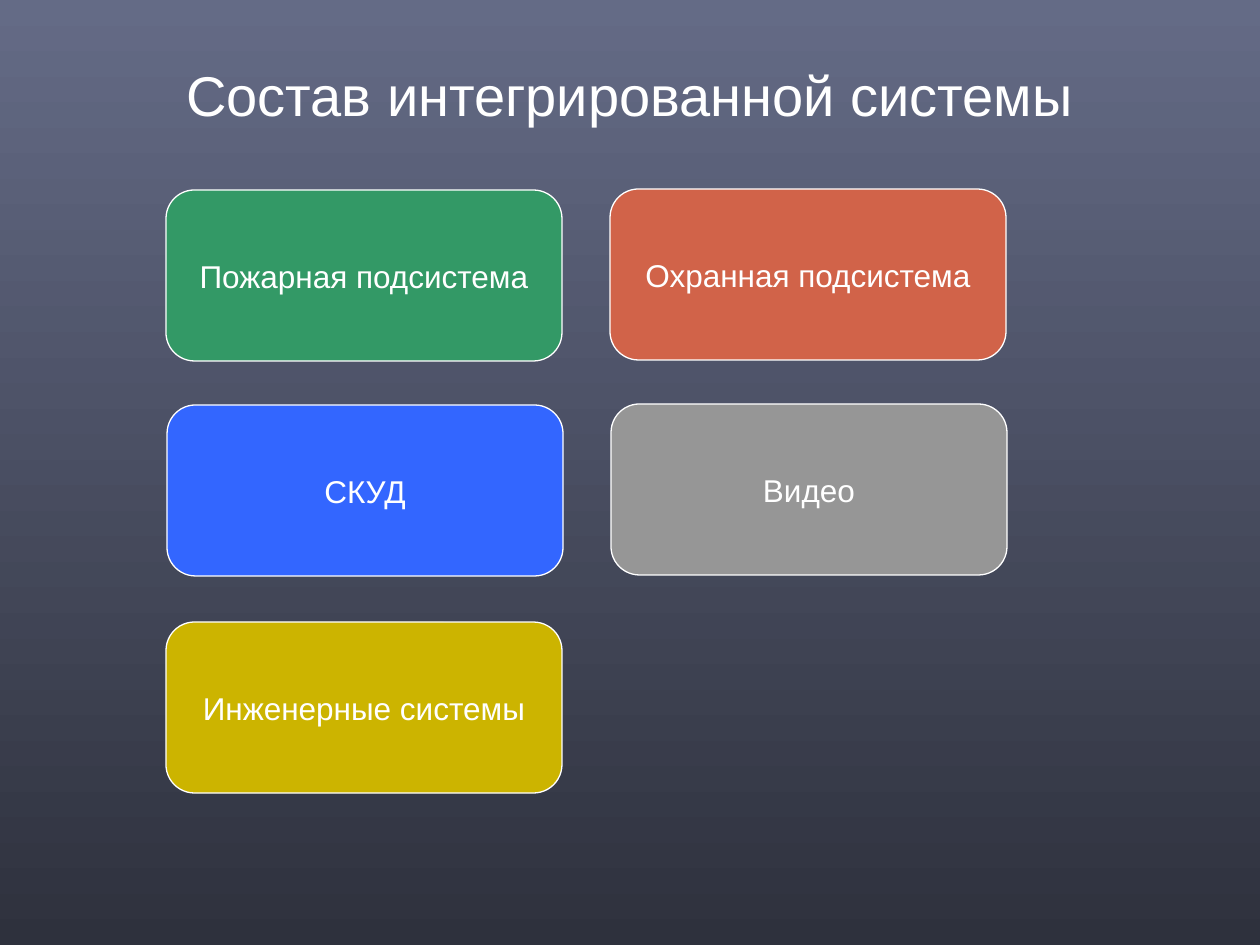
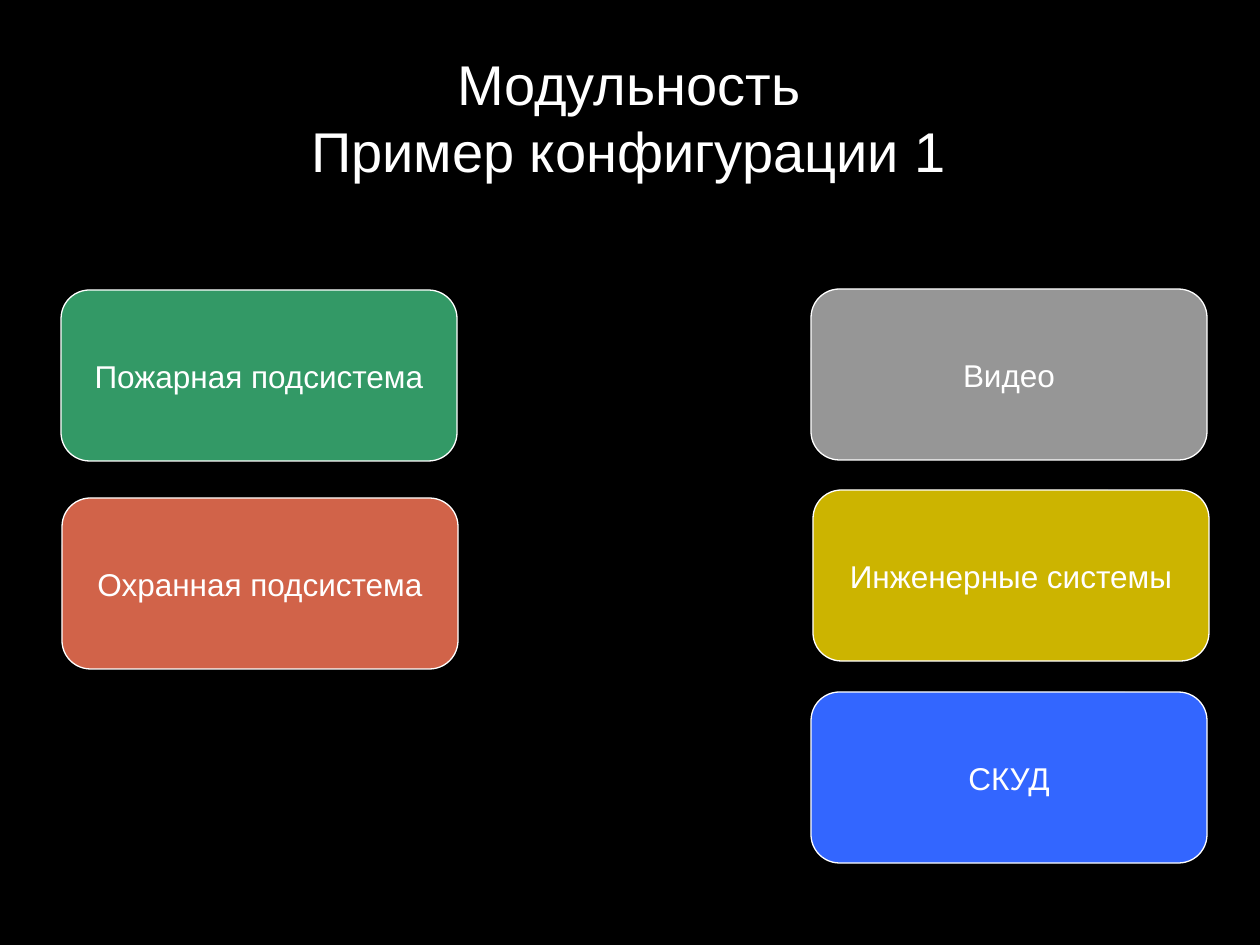
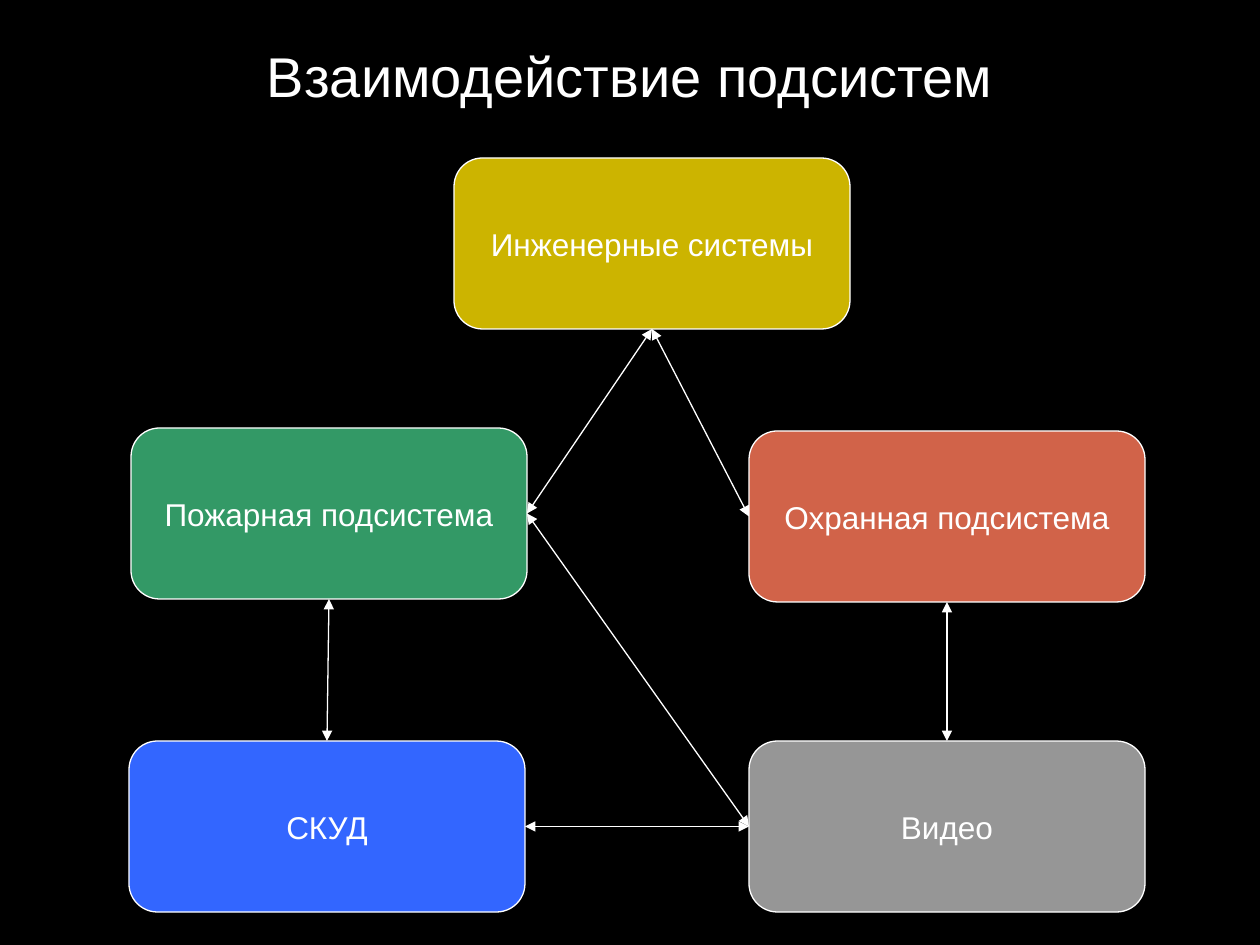
from dataclasses import dataclass

import lxml.etree
import pptx
import pptx.dml.color
import pptx.enum.dml
import pptx.enum.shapes
import pptx.enum.text
import pptx.oxml.ns
import pptx.util


@dataclass(frozen=True)
class Theme:
    font: str = "Arial"
    title_size: int = 32
    box_size: int = 18
    line_width: float = 0.75
    white: str = "FFFFFF"
    backdrop: str = "000000"
    gradient: tuple = ("646B86", "2E313D")
    fire: str = "339966"
    access: str = "3366FF"
    video: str = "969696"
    security: str = "D16349"
    engineering: str = "CCB400"


THEME = Theme()
EMU_PER_PX = 914400 / 126
SLIDE_W, SLIDE_H = 1260, 945
BOX_W, BOX_H = 396, 171
TOP, LEFT, BOTTOM, RIGHT = range(4)
rgb = pptx.dml.color.RGBColor.from_string
qn = pptx.oxml.ns.qn


def px(*lengths):
    return [pptx.util.Emu(round(n * EMU_PER_PX)) for n in lengths]


def write(frame, text, size, anchor, wrap):
    frame.text = text
    frame.auto_size = pptx.enum.text.MSO_AUTO_SIZE.NONE
    frame.word_wrap = wrap
    frame.vertical_anchor = anchor
    for paragraph in frame.paragraphs:
        paragraph.alignment = pptx.enum.text.PP_ALIGN.CENTER
        for run in paragraph.runs:
            run.font.name = THEME.font
            run.font.size = pptx.util.Pt(size)
            run.font.color.rgb = rgb(THEME.white)


SUBSYSTEMS = {
    "fire": "Пожарная подсистема",
    "access": "СКУД",
    "video": "Видео",
    "security": "Охранная подсистема",
    "engineering": "Инженерные системы",
}

# Each slide: title, title frame, box corners by subsystem, links between sides
SLIDES = [
    dict(
        title="Состав интегрированной системы",
        title_at=(30, 54, 1200, 79),
        boxes=dict(fire=(166, 190), access=(167, 405), video=(611, 404),
                   security=(610, 189), engineering=(166, 622)),
        links=[],
    ),
    dict(
        title="Модульность\nПример конфигурации 1",
        title_at=(28, 43, 1202, 147),
        boxes=dict(fire=(61, 290), access=(811, 692), video=(811, 289),
                   security=(62, 498), engineering=(813, 490)),
        links=[],
    ),
    dict(
        title="Взаимодействие подсистем",
        title_at=(25, 35, 1210, 79),
        boxes=dict(fire=(131, 428), access=(129, 741), video=(749, 741),
                   security=(749, 431), engineering=(454, 158)),
        links=[
            ("access", TOP, "fire", BOTTOM),
            ("video", TOP, "security", BOTTOM),
            ("access", RIGHT, "video", LEFT),
            ("engineering", BOTTOM, "fire", RIGHT),
            ("engineering", BOTTOM, "security", LEFT),
            ("video", LEFT, "fire", RIGHT),
        ],
    ),
]

deck = pptx.Presentation()
deck.slide_width, deck.slide_height = px(SLIDE_W, SLIDE_H)

# Shared black background
master_fill = deck.slide_master.background.fill
master_fill.solid()
master_fill.fore_color.rgb = rgb(THEME.backdrop)

for content in SLIDES:
    slide = deck.slides.add_slide(deck.slide_layouts[5])

    # Title
    title = slide.shapes.title
    title.left, title.top, title.width, title.height = px(*content["title_at"])
    write(title.text_frame, content["title"], size=THEME.title_size,
          anchor=pptx.enum.text.MSO_ANCHOR.TOP, wrap=True)

    # Subsystem boxes
    boxes = {}
    for subsystem, corner in content["boxes"].items():
        box = slide.shapes.add_shape(
            pptx.enum.shapes.MSO_SHAPE.ROUNDED_RECTANGLE, *px(*corner, BOX_W, BOX_H))
        box.shadow.inherit = False
        box.fill.solid()
        box.fill.fore_color.rgb = rgb(getattr(THEME, subsystem))
        box.line.color.rgb = rgb(THEME.white)
        box.line.width = pptx.util.Pt(THEME.line_width)
        write(box.text_frame, SUBSYSTEMS[subsystem], size=THEME.box_size,
              anchor=pptx.enum.text.MSO_ANCHOR.MIDDLE, wrap=False)
        boxes[subsystem] = box

    # Two-way links
    for source, source_side, target, target_side in content["links"]:
        link = slide.shapes.add_connector(
            pptx.enum.shapes.MSO_CONNECTOR.STRAIGHT, 0, 0, 0, 0)
        link.begin_connect(boxes[source], source_side)
        link.end_connect(boxes[target], target_side)
        link.line.color.rgb = rgb(THEME.white)
        link.line.width = pptx.util.Pt(THEME.line_width)
        properties = link.element.spPr
        outline = properties.find(qn("a:ln"))
        for arrowhead in ("a:headEnd", "a:tailEnd"):
            lxml.etree.SubElement(outline, qn(arrowhead), type="triangle")
        lxml.etree.SubElement(properties, qn("a:effectLst"))

# Gradient background of the opening slide
opening_fill = deck.slides[0].background.fill
opening_fill.gradient()
opening_fill.gradient_angle = 270
for stop, color in zip(opening_fill.gradient_stops, THEME.gradient):
    stop.color.rgb = rgb(color)

deck.save("out.pptx")
